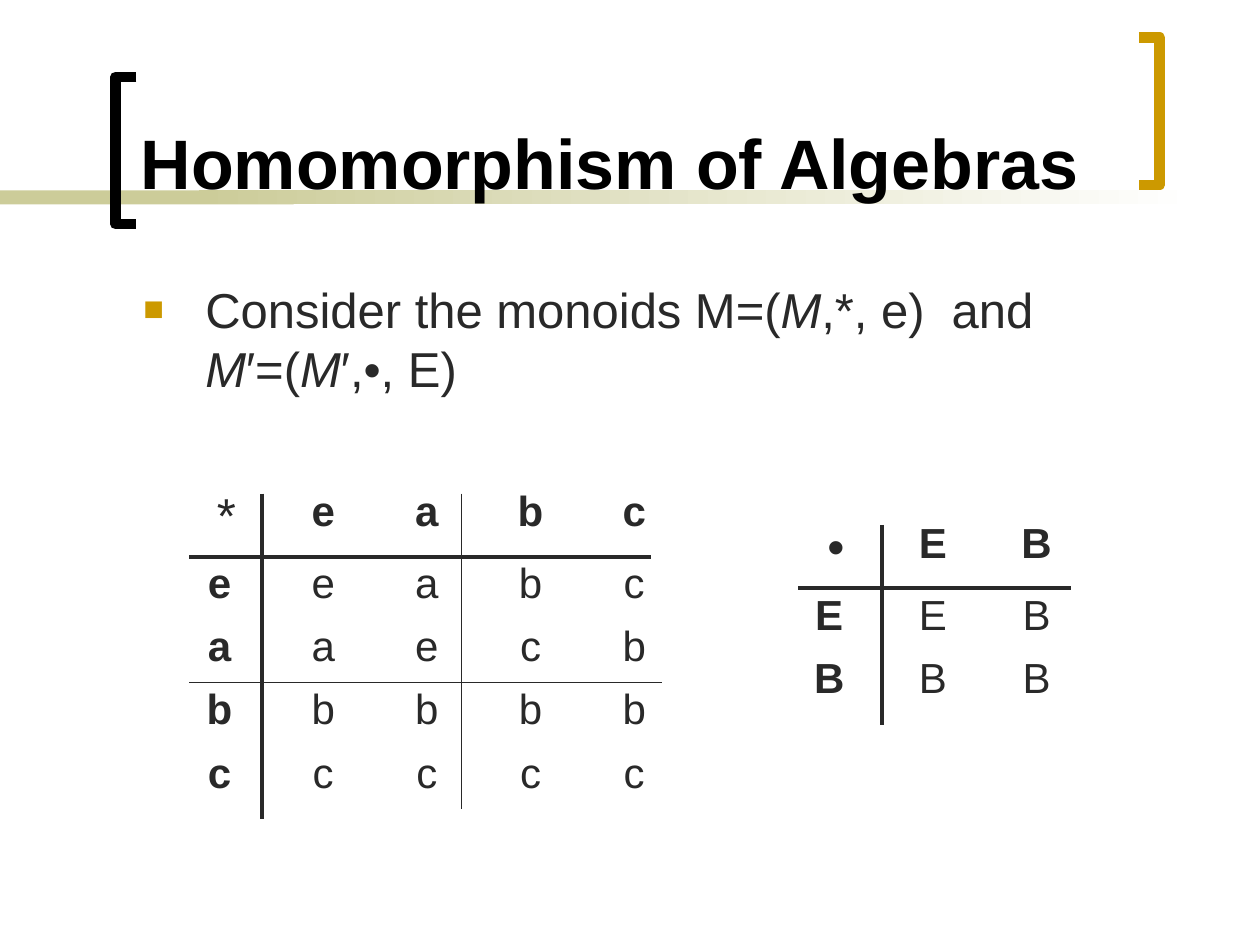
from lxml import etree
from pptx import Presentation
from pptx import util as u
from pptx.dml.color import RGBColor
from pptx.enum import shapes, text
from pptx.oxml import ns

INK, GOLD, SAGE = "292929", "CC9900", "CCCC99"


def rgb(color):
    return RGBColor.from_string(color)


def add_run(p, txt, size=28, color=INK, bold=False, italic=False):
    r = p.add_run()
    r.text = txt
    f = r.font
    f.name, f.size, f.bold, f.italic = "Arial", u.Pt(size), bold, italic
    f.color.rgb = rgb(color)


prs = Presentation()
prs.slide_width, prs.slide_height = u.Cm(25.4), u.Cm(19.05)
s = prs.slides.add_slide(prs.slide_layouts[6])

# Band behind the title: solid, then fading to white
for left, width, fades in [(0, 5.92, False), (4.01, 20.12, True)]:
    sp = s.shapes.add_shape(shapes.MSO_SHAPE.RECTANGLE, u.Cm(left), u.Cm(3.84),
                            u.Cm(width), u.Cm(0.28))
    sp.shadow.inherit = False
    sp.line.fill.background()
    if fades:
        sp.fill.gradient()
        sp.fill.gradient_angle = 0
        for stop, color in zip(sp.fill.gradient_stops, (SAGE, "FFFFFF")):
            stop.color.rgb = rgb(color)
    else:
        sp.fill.solid()
        sp.fill.fore_color.rgb = rgb(SAGE)

# Square brackets: x of the tips, x of the spine, top
for tip, spine, top, color in [(2.75, 2.33, 1.55, "000000"), (22.96, 23.38, 0.76, GOLD)]:
    bottom = top + 2.97
    fb = s.shapes.build_freeform(u.Cm(tip), u.Cm(top))
    fb.add_line_segments([(u.Cm(x), u.Cm(y)) for x, y in
                          [(spine, top), (spine, bottom), (tip, bottom)]], close=False)
    sp = fb.convert_to_shape()
    sp.shadow.inherit = False
    sp.fill.background()
    sp.line.color.rgb = rgb(color)
    sp.line.width = u.Pt(6)

# Title
tf = s.shapes.add_textbox(u.Cm(2.59), u.Cm(0.28), u.Cm(19.89), u.Cm(3.94)).text_frame
tf.word_wrap = True
tf.vertical_anchor = text.MSO_ANCHOR.BOTTOM
add_run(tf.paragraphs[0], "Homomorphism of Algebras", size=40, color="000000", bold=True)

# Bulleted statement
tf = s.shapes.add_textbox(u.Cm(2.64), u.Cm(5.51), u.Cm(20.45), u.Cm(3.81)).text_frame
tf.word_wrap = True
p = tf.paragraphs[0]
p.space_before = u.Pt(7)
pPr = p._p.get_or_add_pPr()
pPr.set("marL", str(u.Cm(1.25)))
pPr.set("indent", str(-u.Cm(1.25)))
bu_clr = etree.SubElement(pPr, ns.qn("a:buClr"))
etree.SubElement(bu_clr, ns.qn("a:srgbClr"), val=GOLD)
etree.SubElement(pPr, ns.qn("a:buSzPct"), val="70000")
etree.SubElement(pPr, ns.qn("a:buFont"), typeface="Arial")
etree.SubElement(pPr, ns.qn("a:buChar"), char="■")
for txt, italic in [("Consider the monoids M=(", False), ("M", True), (",*, e)  and ", False),
                    ("M", True), ("′=(", False), ("M", True), ("′,•, E)", False)]:
    add_run(p, txt, italic=italic)

# Operation tables: one string per row, one character per cell
for left, top, rows in [(3.38, 9.73, ["*eabc", "eeabc", "aaecb", "bbbbb", "ccccc"]),
                        (15.67, 10.36, ["•EB", "EEB", "BBB"])]:
    n = len(rows)
    tbl = s.shapes.add_table(n, n, u.Cm(left), u.Cm(top), u.Cm(2.09 * n),
                             u.Cm(1.45 + 1.27 * (n - 1))).table
    tbl.first_row = tbl.horz_banding = False
    for i, row in enumerate(rows):
        tbl.columns[i].width = u.Cm(2.09)
        tbl.rows[i].height = u.Cm(1.27 if i else 1.45)
        for j, symbol in enumerate(row):
            cell = tbl.cell(i, j)
            cell.fill.background()
            p = cell.text_frame.paragraphs[0]
            p.alignment = text.PP_ALIGN.CENTER
            corner = i == j == 0
            p.space_before = u.Pt(7 if corner else 6)
            if corner:
                add_run(p, " " + symbol)
            else:
                add_run(p, symbol, size=24, bold=i == 0 or j == 0)

# Rules: heavy beside the headers, thin between the classes
for x1, y1, x2, y2, weight in [(5.29, 9.95, 5.29, 16.51, 2.25), (3.81, 11.22, 13.12, 11.22, 2.25),
                               (17.78, 10.58, 17.78, 14.61, 2.25), (16.09, 11.85, 21.59, 11.85, 2.25),
                               (3.81, 13.76, 13.34, 13.76, 0.75), (9.31, 9.95, 9.31, 16.3, 0.75)]:
    cn = s.shapes.add_connector(shapes.MSO_CONNECTOR.STRAIGHT,
                                u.Cm(x1), u.Cm(y1), u.Cm(x2), u.Cm(y2))
    cn.line.color.rgb = rgb(INK)
    cn.line.width = u.Pt(weight)
    etree.SubElement(cn._element.spPr, ns.qn("a:effectLst"))

prs.save("out.pptx")
